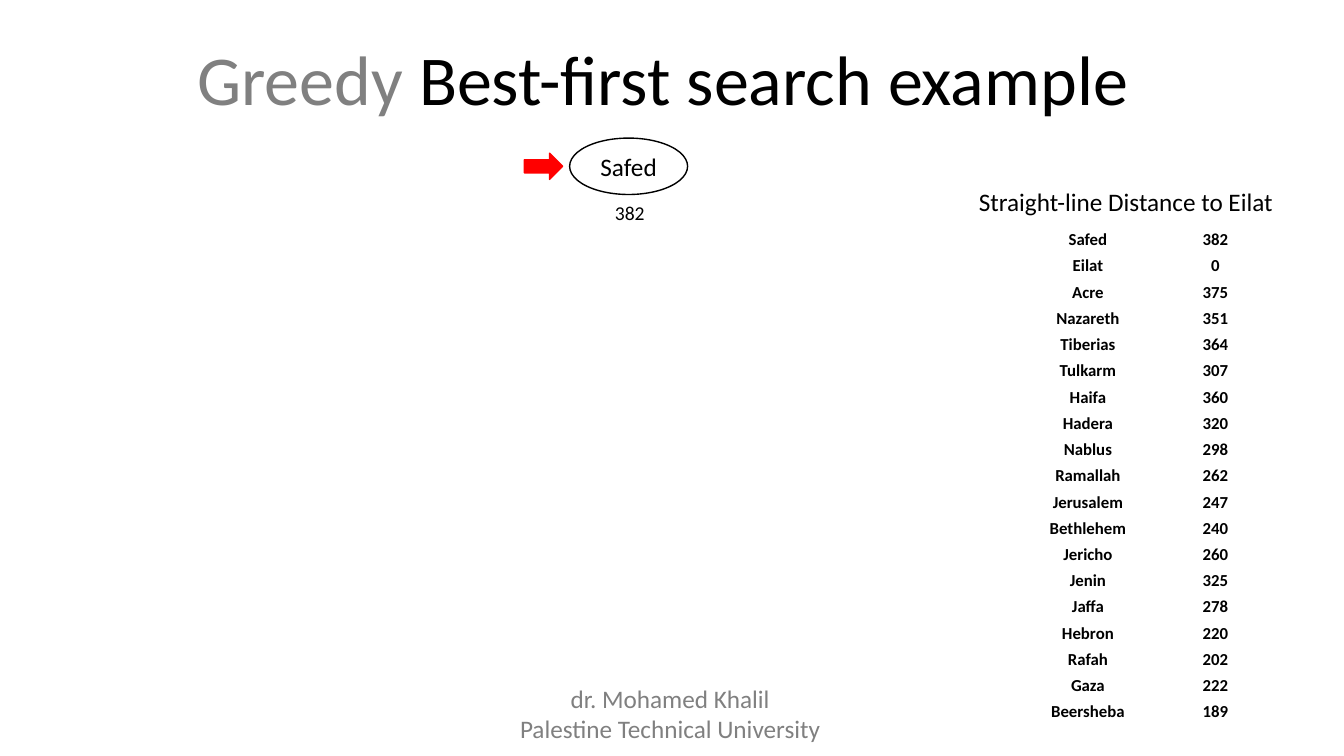
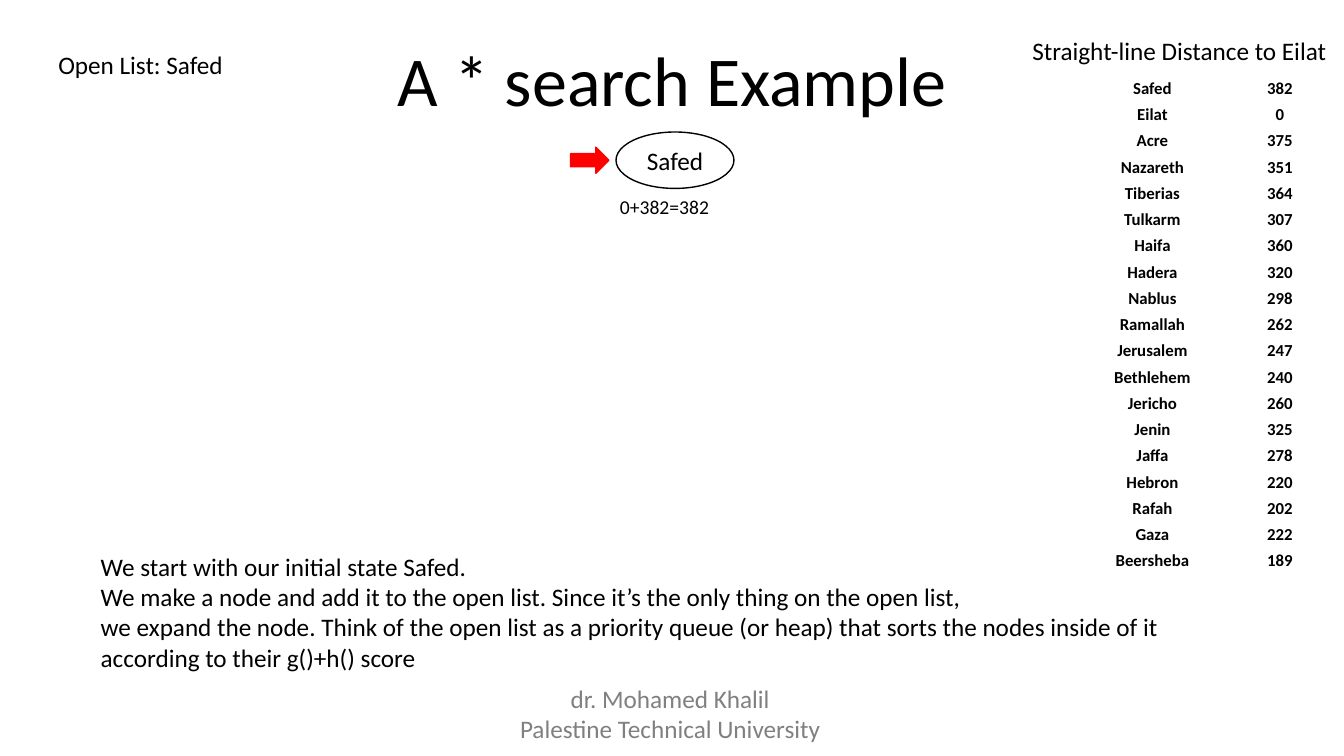
from pptx import Presentation
from pptx.dml.color import RGBColor
from pptx.enum import shapes, text
from pptx.util import Inches, Pt

FONT = "Calibri"
COLORS = {"ink": "000000", "muted": "808080", "paper": "FFFFFF", "pointer": "FF0000"}
DISTANCES = {
    "Safed": 382, "Eilat": 0, "Acre": 375, "Nazareth": 351, "Tiberias": 364,
    "Tulkarm": 307, "Haifa": 360, "Hadera": 320, "Nablus": 298, "Ramallah": 262,
    "Jerusalem": 247, "Bethlehem": 240, "Jericho": 260, "Jenin": 325, "Jaffa": 278,
    "Hebron": 220, "Rafah": 202, "Gaza": 222, "Beersheba": 189,
}
FOOTER = "dr. Mohamed Khalil \nPalestine Technical University "
EXPLANATION = (
    "We start with our initial state Safed.\n"
    "We make a node and add it to the open list. Since it’s the only thing on the open list,\n"
    "we expand the node. Think of the open list as a priority queue (or heap) that sorts "
    "the nodes inside of it according to their g()+h() score"
)


def color(name):
    """Return a named palette colour."""
    return RGBColor.from_string(COLORS[name])


def style_font(font, size, color_name="ink", bold=False):
    """Set the typeface, size, colour and weight of a font."""
    font.name = FONT
    font.size = Pt(size)
    font.bold = bold
    font.color.rgb = color(color_name)


def write(frame, content, size=18, color_name="ink", align=text.PP_ALIGN.LEFT, bold=False):
    """Fill a text frame, one paragraph per line, in one style."""
    frame.text = content
    for paragraph in frame.paragraphs:
        paragraph.alignment = align
        for run in paragraph.runs:
            style_font(run.font, size, color_name, bold)


def add_label(slide, box, content, **style):
    """Add a wrapping text box that grows with its text."""
    frame = slide.shapes.add_textbox(*map(Inches, box)).text_frame
    frame.word_wrap = True
    frame.auto_size = text.MSO_AUTO_SIZE.SHAPE_TO_FIT_TEXT
    write(frame, content, **style)


def add_figure(slide, kind, box, fill, line):
    """Add a flat preset shape with a one-point outline."""
    shape = slide.shapes.add_shape(kind, *map(Inches, box))
    shape.shadow.inherit = False
    shape.fill.solid()
    shape.fill.fore_color.rgb = color(fill)
    shape.line.color.rgb = color(line)
    shape.line.width = Pt(1)
    return shape


def add_title(slide, box, parts):
    """Add the large centred title from (text, colour) parts."""
    frame = slide.shapes.add_textbox(*map(Inches, box)).text_frame
    frame.word_wrap = True
    frame.vertical_anchor = text.MSO_ANCHOR.BOTTOM
    paragraph = frame.paragraphs[0]
    paragraph.alignment = text.PP_ALIGN.CENTER
    paragraph.line_spacing = 0.9
    for content, color_name in parts:
        run = paragraph.add_run()
        run.text = content
        style_font(run.font, 50, color_name)


def add_search_node(slide, left, top, score, score_left, score_width):
    """Add the current node with its pointer and score."""
    node = add_figure(slide, shapes.MSO_SHAPE.OVAL, (left, top, 1.17, 0.56), "paper", "ink")
    node.text_frame.vertical_anchor = text.MSO_ANCHOR.MIDDLE
    write(node.text_frame, "Safed", align=text.PP_ALIGN.CENTER)
    add_figure(slide, shapes.MSO_SHAPE.RIGHT_ARROW,
               (left - 0.45, top + 0.15, 0.38, 0.26), "pointer", "pointer")
    add_label(slide, (left + score_left, top + 0.57, score_width, 0.34), score, size=14)


def add_distances(slide, left, top, indent):
    """Add the distance heading and, indented below it, the table."""
    add_label(slide, (left, top, 3.29, 0.4), "Straight-line Distance to Eilat")
    row_height = 0.26
    box = (left + indent, top + 0.47, 2.53, row_height * len(DISTANCES))
    table = slide.shapes.add_table(len(DISTANCES), 2, *map(Inches, box)).table
    table.horz_banding = False
    for column, width in zip(table.columns, (1.74, 0.79)):
        column.width = Inches(width)
    for row, entry in zip(table.rows, DISTANCES.items()):
        row.height = Inches(row_height)
        for cell, value in zip(row.cells, entry):
            cell.fill.solid()
            cell.fill.fore_color.rgb = color("paper")
            cell.margin_left = cell.margin_top = cell.margin_right = Inches(0.01)
            cell.margin_bottom = Inches(0.05)
            cell.vertical_anchor = text.MSO_ANCHOR.BOTTOM
            write(cell.text_frame, str(value), 12, align=text.PP_ALIGN.CENTER, bold=True)


def add_base(presentation, title_box, title_parts):
    """Start a blank slide with its title and the shared footer."""
    slide = presentation.slides.add_slide(presentation.slide_layouts[6])
    add_title(slide, title_box, title_parts)
    add_label(slide, (3.93, 6.73, 5.49, 0.71), FOOTER, color_name="muted",
              align=text.PP_ALIGN.CENTER)
    return slide


def build_greedy(presentation):
    """Build the greedy best-first search slide."""
    slide = add_base(presentation, (1.76, 0.37, 9.79, 0.88),
                     [("Greedy ", "muted"), ("Best-first search example ", "ink")])
    add_search_node(slide, 5.65, 1.37, "382", 0.35, 0.54)
    add_distances(slide, 9.61, 1.8, 0.31)


def build_a_star(presentation):
    """Build the A* search slide."""
    slide = add_base(presentation, (3.2, 0.38, 6.94, 0.88), [("A * search Example", "ink")])
    add_label(slide, (0.48, 0.44, 3, 0.4), "Open List: Safed")
    add_search_node(slide, 6.11, 1.31, "0+382=382", -0.06, 1.43)
    add_label(slide, (0.9, 5.42, 11.41, 1.31), EXPLANATION)
    add_distances(slide, 10.14, 0.3, 0.42)


def main():
    """Build and save the presentation."""
    presentation = Presentation()
    presentation.slide_width = Inches(13.33)
    presentation.slide_height = Inches(7.5)
    build_greedy(presentation)
    build_a_star(presentation)
    presentation.save("out.pptx")


if __name__ == "__main__":
    main()
